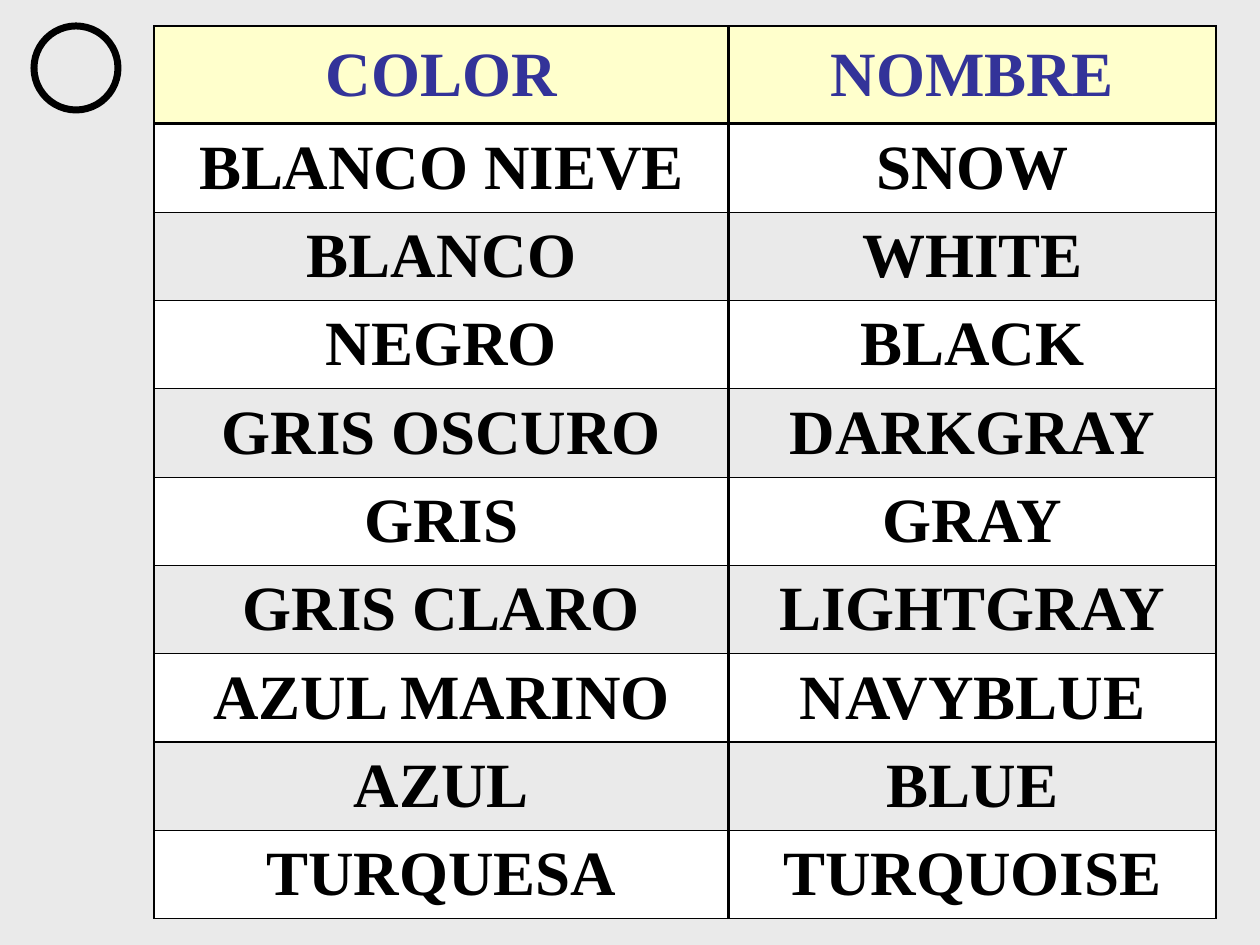
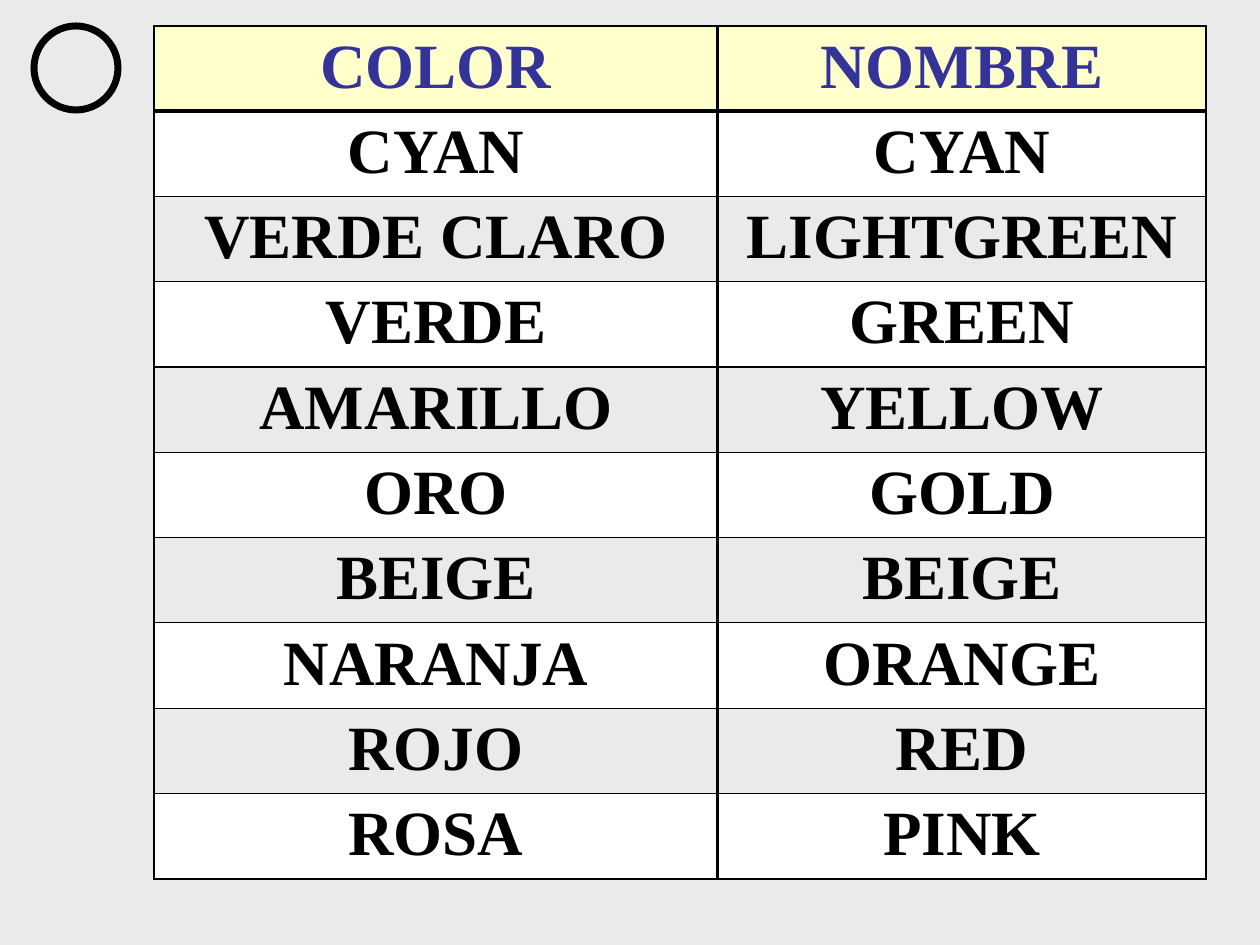
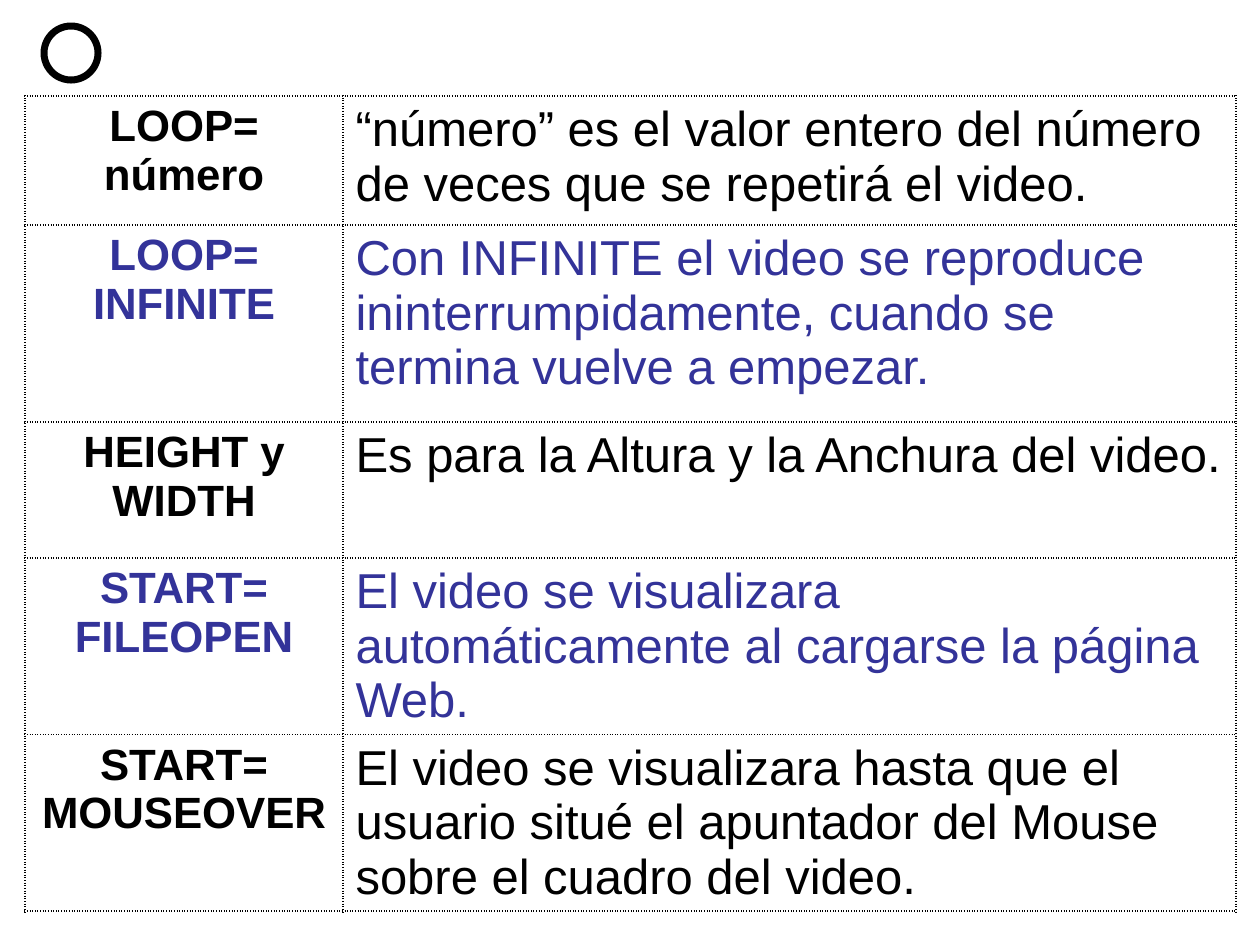
import pptx
import pptx.util
import pptx.dml.color
import pptx.enum.shapes
import pptx.enum.text
import pptx.oxml.ns
import lxml.etree

RGBColor = pptx.dml.color.RGBColor
BLACK = RGBColor(0x00, 0x00, 0x00)
WHITE = RGBColor(0xFF, 0xFF, 0xFF)
GRAY = RGBColor(0xEA, 0xEA, 0xEA)
CREAM = RGBColor(0xFF, 0xFF, 0xCC)
INDIGO = RGBColor(0x33, 0x33, 0x99)

CENTER = pptx.enum.text.PP_ALIGN.CENTER
LEFT = pptx.enum.text.PP_ALIGN.LEFT
MIDDLE = pptx.enum.text.MSO_ANCHOR.MIDDLE
TOP = pptx.enum.text.MSO_ANCHOR.TOP

# Content
COLOR_HEADER = ("COLOR", "NOMBRE")
COLOR_SLIDES = [
    {
        "columns": (575, 487), "header_height": 98, "height": 893, "anchor": MIDDLE,
        "colors": [
            ("BLANCO NIEVE", "SNOW"),
            ("BLANCO", "WHITE"),
            ("NEGRO", "BLACK"),
            ("GRIS OSCURO", "DARKGRAY"),
            ("GRIS", "GRAY"),
            ("GRIS CLARO", "LIGHTGRAY"),
            ("AZUL MARINO", "NAVYBLUE"),
            ("AZUL", "BLUE"),
            ("TURQUESA", "TURQUOISE"),
        ],
    },
    {
        "columns": (564, 488), "header_height": 85, "height": 853, "anchor": TOP,
        "colors": [
            ("CYAN", "CYAN"),
            ("VERDE CLARO", "LIGHTGREEN"),
            ("VERDE", "GREEN"),
            ("AMARILLO", "YELLOW"),
            ("ORO", "GOLD"),
            ("BEIGE", "BEIGE"),
            ("NARANJA", "ORANGE"),
            ("ROJO", "RED"),
            ("ROSA", "PINK"),
        ],
    },
]
VIDEO_ATTRIBUTES = [
    ("LOOP=\nnúmero",
     "“número” es el valor entero del número de veces que se repetirá el video."),
    ("LOOP=\nINFINITE",
     "Con INFINITE el video se reproduce ininterrumpidamente, "
     "cuando se termina vuelve a empezar."),
    ("HEIGHT y\nWIDTH", "Es para la Altura y la Anchura del video."),
    ("START=\nFILEOPEN",
     "El video se visualizara automáticamente al cargarse la página Web."),
    ("START=\nMOUSEOVER",
     "El video se visualizara hasta que el usuario situé el apuntador "
     "del Mouse sobre el cuadro del video."),
]
VIDEO_COLUMNS = (318, 893)
VIDEO_ROW_HEIGHTS = (129, 197, 136, 176, 176)


def px(length):
    return pptx.util.Emu(round(length * 914400 / 126))


# Shared parts
def add_slide(presentation, background):
    slide = presentation.slides.add_slide(presentation.slide_layouts[6])
    slide.background.fill.solid()
    slide.background.fill.fore_color.rgb = background
    return slide


def add_ring(slide, left, top, size):
    ring = slide.shapes.add_shape(
        pptx.enum.shapes.MSO_SHAPE.OVAL, px(left), px(top), px(size), px(size))
    ring.shadow.inherit = False
    ring.fill.background()
    ring.line.color.rgb = BLACK
    ring.line.width = pptx.util.Pt(4)


def add_grid(slide, left, top, columns, heights):
    frame = slide.shapes.add_table(
        len(heights), len(columns), px(left), px(top), px(sum(columns)), px(sum(heights)))
    table = frame.table
    table.first_row = table.horz_banding = False
    for column, width in zip(table.columns, columns):
        column.width = px(width)
    for row, height in zip(table.rows, heights):
        row.height = px(height)
    return table


def set_borders(cell, widths, dash="solid"):
    """Widths in points, in the order left, right, top, bottom."""
    qn = pptx.oxml.ns.qn
    properties = cell._tc.get_or_add_tcPr()
    for side, width in zip("LRTB", widths):
        line = lxml.etree.SubElement(
            properties, qn(f"a:ln{side}"), w=str(pptx.util.Pt(width)))
        fill = lxml.etree.SubElement(line, qn("a:solidFill"))
        lxml.etree.SubElement(fill, qn("a:srgbClr"), val=str(BLACK))
        lxml.etree.SubElement(line, qn("a:prstDash"), val=dash)


def fill_cell(cell, text, fill, font, size, color, bold, alignment, anchor=TOP):
    cell.fill.solid()
    cell.fill.fore_color.rgb = fill
    cell.vertical_anchor = anchor
    cell.text_frame.text = text
    for paragraph in cell.text_frame.paragraphs:
        paragraph.alignment = alignment
        for run in paragraph.runs:
            run.font.name = font
            run.font.size = pptx.util.Pt(size)
            run.font.bold = bold
            run.font.color.rgb = color


# Colour name slides
def add_color_slide(presentation, content):
    slide = add_slide(presentation, GRAY)
    rows = [COLOR_HEADER] + content["colors"]
    count = len(content["colors"])
    header_height = content["header_height"]
    body_height = (content["height"] - header_height) / count
    table = add_grid(slide, 154, 26, content["columns"],
                     [header_height] + [body_height] * count)

    row_lines = [1, 2] + [0.75] * (count - 1) + [1]
    column_lines = [1, 2, 1]
    for r, row in enumerate(rows):
        fill = CREAM if r == 0 else WHITE if r % 2 else GRAY
        color = BLACK if r else INDIGO
        for c, text in enumerate(row):
            cell = table.cell(r, c)
            set_borders(cell, column_lines[c:c + 2] + row_lines[r:r + 2])
            fill_cell(cell, text, fill, "Times New Roman", 36, color, True,
                      CENTER, content["anchor"])
    add_ring(slide, 34, 26, 84)


# Video attribute slide
def add_video_slide(presentation):
    slide = add_slide(presentation, WHITE)
    table = add_grid(slide, 25, 96, VIDEO_COLUMNS, VIDEO_ROW_HEIGHTS)
    column_styles = [(25, True, CENTER), (28, False, LEFT)]
    for r, row in enumerate(VIDEO_ATTRIBUTES):
        color = INDIGO if r % 2 else BLACK
        for c, (text, (size, bold, alignment)) in enumerate(zip(row, column_styles)):
            cell = table.cell(r, c)
            set_borders(cell, [1] * 4, "sysDot")
            fill_cell(cell, text, WHITE, "Arial", size, color, bold, alignment)
    add_ring(slide, 44, 26, 54)


def main():
    presentation = pptx.Presentation()
    presentation.slide_width = px(1260)
    presentation.slide_height = px(945)
    for content in COLOR_SLIDES:
        add_color_slide(presentation, content)
    add_video_slide(presentation)
    presentation.save("out.pptx")


if __name__ == "__main__":
    main()
